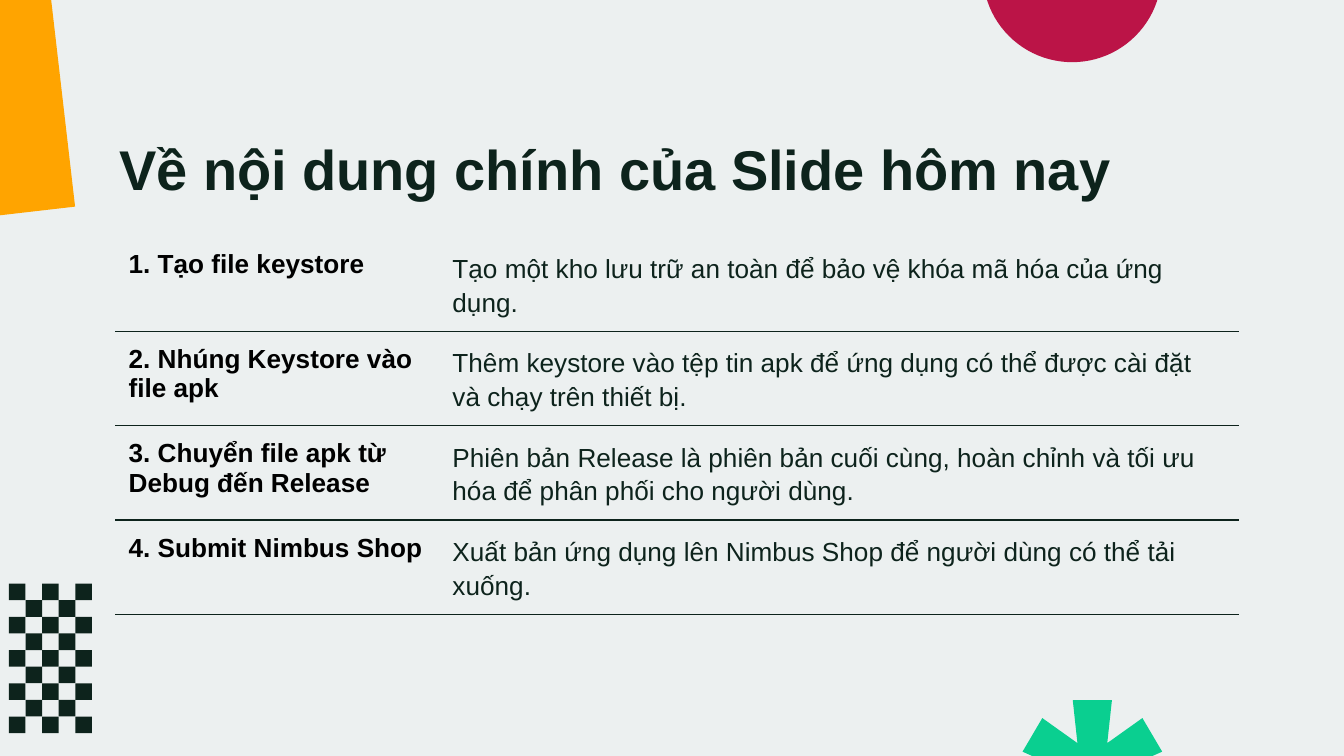
"""Build the agenda slide with its table and corner ornaments."""
from lxml.etree import SubElement
from pptx import Presentation
from pptx.dml.color import RGBColor as Rgb
from pptx.enum.shapes import MSO_SHAPE as Kind
from pptx.enum.text import MSO_ANCHOR as Anchor, PP_ALIGN as Align
from pptx.oxml import parse_xml
from pptx.oxml.ns import qn
from pptx.util import Pt

TITLE = "Về nội dung chính của Slide hôm nay"
ROWS = [
    ("1. Tạo file keystore",
     "Tạo một kho lưu trữ an toàn để bảo vệ khóa mã hóa của ứng dụng."),
    ("2. Nhúng Keystore vào file apk",
     "Thêm keystore vào tệp tin apk để ứng dụng có thể được cài đặt và chạy trên thiết bị."),
    ("3. Chuyển file apk từ Debug đến Release",
     "Phiên bản Release là phiên bản cuối cùng, hoàn chỉnh và tối ưu hóa để phân phối cho người dùng."),
    ("4. Submit Nimbus Shop",
     "Xuất bản ứng dụng lên Nimbus Shop để người dùng có thể tải xuống."),
]
COLORS = {"back": "ECF0F0", "ink": "0D231C", "black": "000000",
          "gold": "FFA400", "rose": "BB1447", "mint": "0ACF90"}
FONTS = {
    "title": {"name": "Arial", "size": Pt(30), "bold": True},
    "head": {"name": "Arial", "size": Pt(14), "bold": True},
    "body": {"name": "Arial", "size": Pt(14), "bold": False},
}
PARAS = {"title": {"alignment": Align.LEFT}, "head": {},
         "body": {"line_spacing": 1.15, "space_after": Pt(16)}}
TITLE_BOX = {"left": Pt(56.7), "top": Pt(62), "width": Pt(607), "height": Pt(45)}
TITLE_FRAME = {"margin_left": Pt(7.2), "margin_right": Pt(7.2), "margin_top": Pt(10),
               "margin_bottom": Pt(7.2), "vertical_anchor": Anchor.TOP}
CELL = {"margin_left": Pt(7.2), "margin_right": Pt(7.2),
        "margin_top": Pt(7.2), "margin_bottom": Pt(7.2)}
WIDTHS = (173.5, 428.5)
ROW_H = 50.5
NO_STYLE = "{2D5ABB26-0587-4C30-8999-92F81FD0307C}"
CHECK = {"left": 4.8, "top": 312.7, "side": 8.9, "rows": 9, "cols": 5}
STAR_MID = (585.2, 412.1)
STAR_ARM = [(10.5, -37), (8, -14), (26.8, -27.4), (37.4, -9.4)]
STAR_TIP = (16.2, 0)


def apply(item, vals):
    for key, val in vals.items():
        setattr(item, key, val)


def write(frame, text, role, color):
    para = frame.paragraphs[0]
    apply(para, PARAS[role])
    run = para.add_run()
    run.text = text
    apply(run.font, FONTS[role])
    run.font.color.rgb = Rgb.from_string(COLORS[color])


def paint(shape, color):
    shape.shadow.inherit = False
    shape.fill.solid()
    shape.fill.fore_color.rgb = Rgb.from_string(COLORS[color])
    shape.line.fill.background()


def block(slide, kind, box, color, turn=0):
    shape = slide.shapes.add_shape(kind, *map(Pt, box))
    shape.rotation = turn
    paint(shape, color)


def checks(slide):
    side = CHECK["side"]
    for row in range(CHECK["rows"]):
        for col in range(row % 2, CHECK["cols"], 2):
            box = (CHECK["left"] + col * side, CHECK["top"] + row * side, side, side)
            block(slide, Kind.RECTANGLE, box, "ink")


def star(slide):
    right = STAR_ARM + [STAR_TIP] + [(x, -y) for x, y in reversed(STAR_ARM)]
    ring = right + [(-x, y) for x, y in reversed(right)]
    dots = [(Pt(STAR_MID[0] + x), Pt(STAR_MID[1] + y)) for x, y in ring]
    pen = slide.shapes.build_freeform(*dots[0])
    pen.add_line_segments(dots[1:], close=True)
    paint(pen.convert_to_shape(), "mint")


def rule(cell):
    line = parse_xml(
        '<a:lnB xmlns:a="http://schemas.openxmlformats.org/drawingml/2006/main" '
        f'w="{Pt(0.75)}"><a:solidFill><a:srgbClr val="{COLORS["ink"]}"/>'
        '</a:solidFill></a:lnB>')
    cell._tc.get_or_add_tcPr().insert(0, line)


def agenda(slide):
    shape = slide.shapes.add_table(len(ROWS), len(WIDTHS), Pt(61.7), Pt(126.8),
                                   Pt(sum(WIDTHS)), Pt(ROW_H * len(ROWS)))
    table = shape.table
    apply(table, {"first_row": False, "horz_banding": False})
    props = table._tbl.tblPr
    style = props.find(qn("a:tableStyleId"))
    if style is None:
        style = SubElement(props, qn("a:tableStyleId"))
    style.text = NO_STYLE
    for col, width in zip(table.columns, WIDTHS):
        col.width = Pt(width)
    for row, texts in enumerate(ROWS):
        table.rows[row].height = Pt(ROW_H)
        for col, (role, color) in enumerate((("head", "black"), ("body", "ink"))):
            cell = table.cell(row, col)
            apply(cell, CELL)
            cell.fill.background()
            rule(cell)
            write(cell.text_frame, texts[col], role, color)


def main():
    deck = Presentation()
    apply(deck, {"slide_width": Pt(720), "slide_height": Pt(405)})
    slide = deck.slides.add_slide(deck.slide_layouts[5])
    fill = slide.background.fill
    fill.solid()
    fill.fore_color.rgb = Rgb.from_string(COLORS["back"])
    block(slide, Kind.RECTANGLE, (-99.4, -13.7, 132.5, 132.5), "gold", 353.4)
    block(slide, Kind.OVAL, (526.5, -62.5, 95.8, 95.8), "rose")
    star(slide)
    checks(slide)
    title = slide.shapes.title
    apply(title, TITLE_BOX)
    apply(title.text_frame, TITLE_FRAME)
    write(title.text_frame, TITLE, "title", "ink")
    agenda(slide)
    deck.save("out.pptx")


if __name__ == "__main__":
    main()
